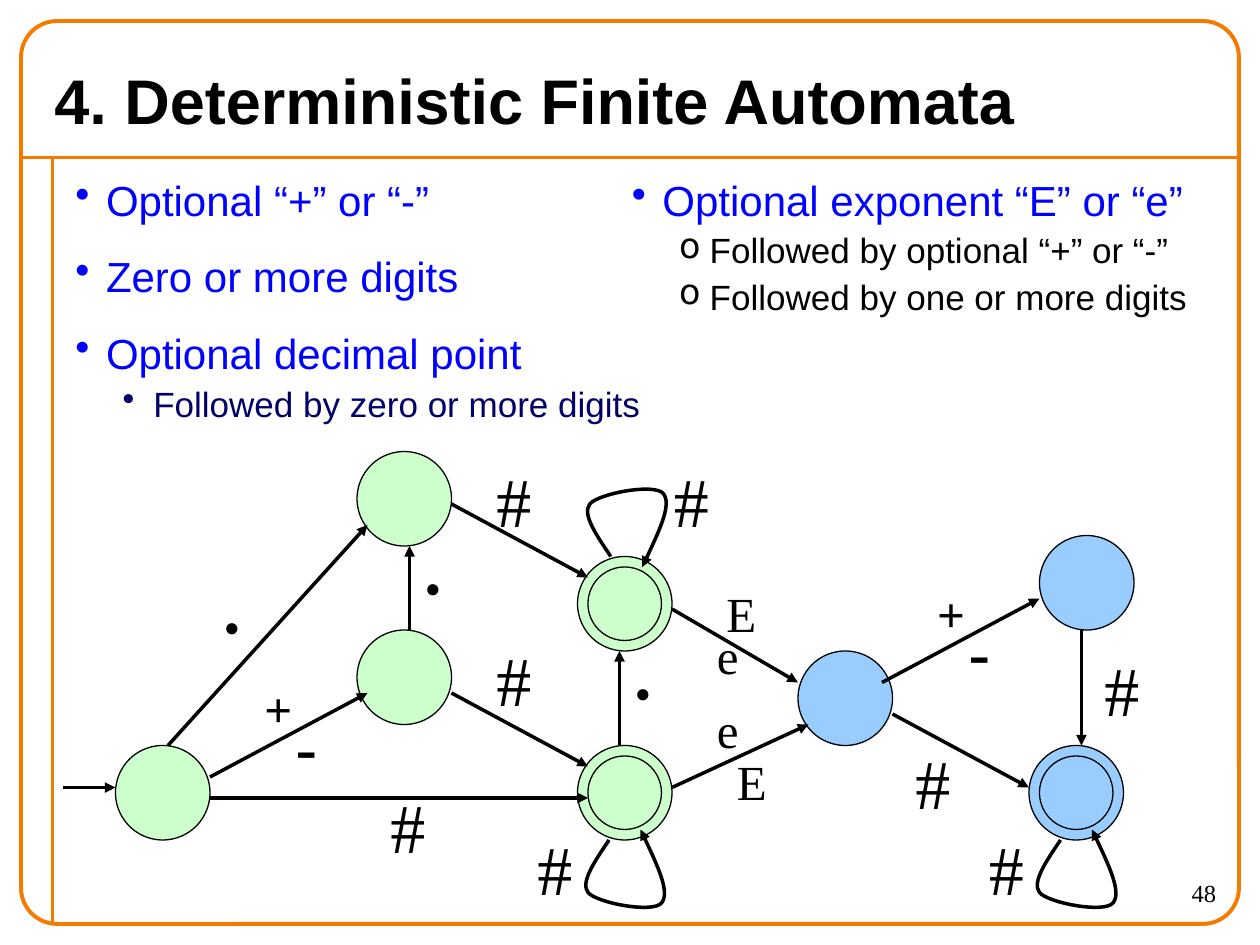
from pptx import Presentation
from pptx.dml.color import RGBColor
from pptx.enum.shapes import MSO_CONNECTOR, MSO_SHAPE
from pptx.enum.text import MSO_ANCHOR, MSO_AUTO_SIZE, PP_ALIGN
from pptx.oxml.ns import qn
from pptx.util import Pt
from lxml import etree

STRAIGHT = MSO_CONNECTOR.STRAIGHT
OVAL, ROUNDED = MSO_SHAPE.OVAL, MSO_SHAPE.ROUNDED_RECTANGLE
TOP, MIDDLE = MSO_ANCHOR.TOP, MSO_ANCHOR.MIDDLE
LEFT, RIGHT = PP_ALIGN.LEFT, PP_ALIGN.RIGHT
GROW = MSO_AUTO_SIZE.SHAPE_TO_FIT_TEXT

THEME = {
    "frame": "F47A00", "ink": "000000", "green": "CCFFCC", "blue": "99CCFF",
    "title": {"size": 36, "name": "Arial", "bold": True, "color": "000000"},
    "item": {"size": 24, "name": "Arial", "color": "0000FF"},
    "sub_navy": {"size": 20, "name": "Arial", "color": "000066"},
    "sub_black": {"size": 20, "name": "Arial", "color": "000000"},
    "number": {"size": 14, "name": "Times New Roman", "color": "000000"},
    ".": {"size": 54, "name": "Times New Roman", "color": "000000"},
    "#": {"size": 40, "name": "Times New Roman", "color": "000000"},
    "letter": {"size": 28, "name": "Times New Roman", "color": "000000"},
    "+": {"size": 28, "name": "Times New Roman", "bold": True, "color": "000000"},
    "-": {"size": 36, "name": "Times New Roman", "bold": True, "color": "000000"},
}

prs = Presentation()
prs.slide_width, prs.slide_height = Pt(720), Pt(540)
s = prs.slides.add_slide(prs.slide_layouts[6])


def add_text(box, paragraphs, anchor=TOP, align=LEFT, wrap=True):
    """Each paragraph is (text, style, bullet, indent, space before)."""
    tf = s.shapes.add_textbox(*map(Pt, box)).text_frame
    tf.word_wrap, tf.vertical_anchor = wrap, anchor
    if not wrap:
        tf.auto_size = GROW
    for i, (text, style, bullet, indent, before) in enumerate(paragraphs):
        p = tf.add_paragraph() if i else tf.paragraphs[0]
        p.alignment = align
        if i:
            p.space_before = Pt(before)
        fmt = dict(THEME[style])
        color = fmt.pop("color")
        if bullet:
            pPr = p._p.get_or_add_pPr()
            pPr.set("marL", str(Pt(indent)))
            pPr.set("indent", str(-Pt(17.5)))
            clr = etree.SubElement(pPr, qn("a:buClr"))
            etree.SubElement(clr, qn("a:srgbClr"), val=color)
            etree.SubElement(pPr, qn("a:buChar"), char=bullet)
        r = p.add_run()
        r.text = text
        fmt["size"] = Pt(fmt["size"])
        for key, value in fmt.items():
            setattr(r.font, key, value)
        r.font.color.rgb = RGBColor.from_string(color)


def style_line(sp, color, width, arrow=False):
    sp.line.color.rgb = RGBColor.from_string(THEME[color])
    sp.line.width = Pt(width)
    if arrow:
        etree.SubElement(sp.line._get_or_add_ln(), qn("a:tailEnd"), type="triangle")
    etree.SubElement(sp._element.spPr, qn("a:effectLst"))


# Frame with its two rules
for x1, y1, x2, y2 in [(12, 90, 708, 90), (30, 90, 30, 528)]:
    sp = s.shapes.add_connector(STRAIGHT, Pt(x1), Pt(y1), Pt(x2), Pt(y2))
    style_line(sp, "frame", 2.25)
sp = s.shapes.add_shape(ROUNDED, Pt(12), Pt(12), Pt(696), Pt(528 - 12))
sp.adjustments[0] = 0.04
sp.fill.background()
style_line(sp, "frame", 2.25)

# Page number, title and bullet lists
add_text((630, 498, 72, 30), [("48", "number", None, 0, 0)], align=RIGHT)
add_text((24, 30, 672, 54), [("4. Deterministic Finite Automata", "title", None, 0, 0)],
         anchor=MIDDLE)
add_text((36, 96, 666, 174), [
    ("Optional “+” or “-”", "item", "•", 17.5, 15),
    ("Zero or more digits", "item", "•", 17.5, 15),
    ("Optional decimal point", "item", "•", 17.5, 15),
    ("Followed by zero or more digits", "sub_navy", "•", 44.5, 2.5),
])
add_text((354, 96, 360, 108), [
    ("Optional exponent “E” or “e”", "item", "•", 17.5, 15),
    ("Followed by optional “+” or “-”", "sub_black", "o", 44.5, 2.5),
    ("Followed by one or more digits", "sub_black", "o", 44.5, 2.5),
])

# States: an accepting state has an inner ring
STATE, RING_GAP = 54, 6
states = [
    (66, 426, "green", False), (204, 360, "green", False), (204, 258, "green", False),
    (330, 318, "green", True), (330, 426, "green", True),
    (456, 372, "blue", False), (594, 306, "blue", False), (588, 426, "blue", True),
]
for x, y, color, accepting in states:
    for gap in (0, RING_GAP) if accepting else (0,):
        side = Pt(STATE - 2 * gap)
        sp = s.shapes.add_shape(OVAL, Pt(x + gap), Pt(y + gap), side, side)
        sp.fill.solid()
        sp.fill.fore_color.rgb = RGBColor.from_string(THEME[color])
        style_line(sp, "ink", 0.75)

# Straight transitions
transitions = [
    (36, 450, 66, 450), (96, 426, 210, 300), (120, 456, 336, 456),
    (120, 444, 210, 396), (258, 396, 336, 438), (258, 288, 336, 330),
    (234, 360, 234, 312), (354, 426, 354, 372), (384, 348, 456, 390),
    (384, 450, 462, 414), (504, 390, 594, 342), (510, 408, 588, 450),
    (618, 360, 618, 426),
]
for x1, y1, x2, y2 in transitions:
    sp = s.shapes.add_connector(STRAIGHT, Pt(x1), Pt(y1), Pt(x2), Pt(y2))
    style_line(sp, "ink", 2, arrow=True)

# Self loops: three Bézier curves below a state, or flipped above it
LOOP = [(18, 54), (10, 66), (1.5, 78), (6, 84), (11, 90), (43, 96), (48, 90),
        (53, 84), (44.5, 66), (36, 48)]
for x, y, above in [(330, 426, False), (331, 318, True), (588, 426, False)]:
    pts = [(Pt(x + dx), Pt(y + (STATE - dy if above else dy))) for dx, dy in LOOP]
    fb = s.shapes.build_freeform(*pts[0], scale=1.0)
    fb.add_line_segments(pts[1:], close=False)
    sp = fb.convert_to_shape()
    segments = list(sp._element.iter(qn("a:lnTo")))
    for i in range(0, len(segments), 3):
        curve = etree.SubElement(segments[i].getparent(), qn("a:cubicBezTo"))
        for segment in segments[i:i + 3]:
            curve.append(segment[0])
            segment.getparent().remove(segment)
    sp.fill.background()
    style_line(sp, "ink", 2, arrow=True)

# Transition labels: style, box size, then (text, left, top)
labels = [
    (".", 28, 72, [(".", 119, 304.5), (".", 354, 342), (".", 234, 282)]),
    ("#", 34.5, 55.5, [("#", 216, 444), ("#", 300, 468), ("#", 378, 258),
                       ("#", 276.5, 258), ("#", 276.5, 360), ("#", 558, 468),
                       ("#", 516, 419), ("#", 624, 366)]),
    ("letter", 31.5, 41, [("E", 408, 330), ("E", 414, 426)]),
    ("letter", 26.5, 41, [("e", 402.5, 396), ("e", 402.5, 354)]),
    ("+", 30.5, 41, [("+", 144, 384), ("+", 528.5, 330)]),
    ("-", 26, 50.5, [("-", 162, 400.5), ("-", 546.5, 346.5)]),
]
for style, w, h, places in labels:
    for text, x, y in places:
        add_text((x, y, w, h), [(text, style, None, 0, 0)], wrap=False)

prs.save("out.pptx")
